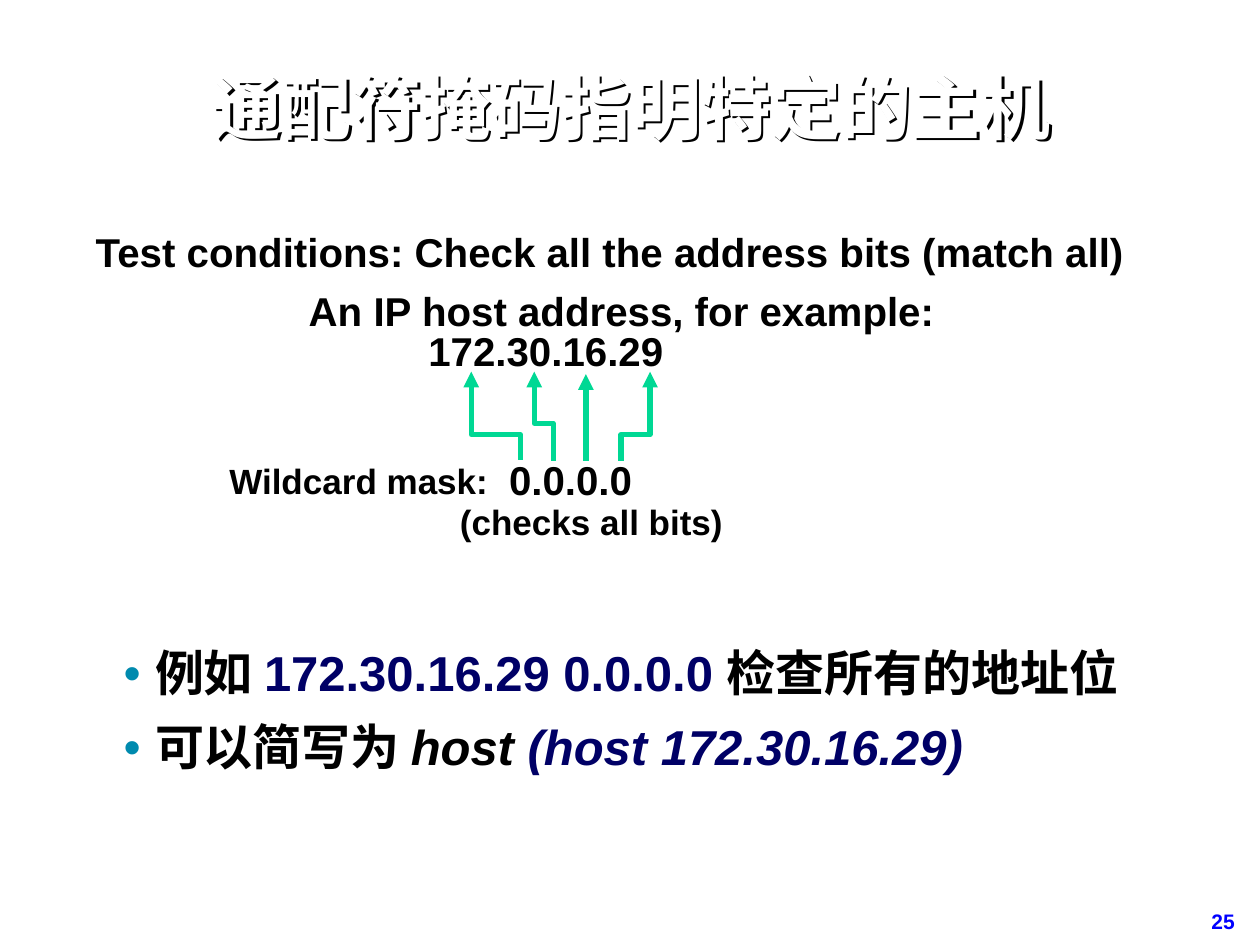
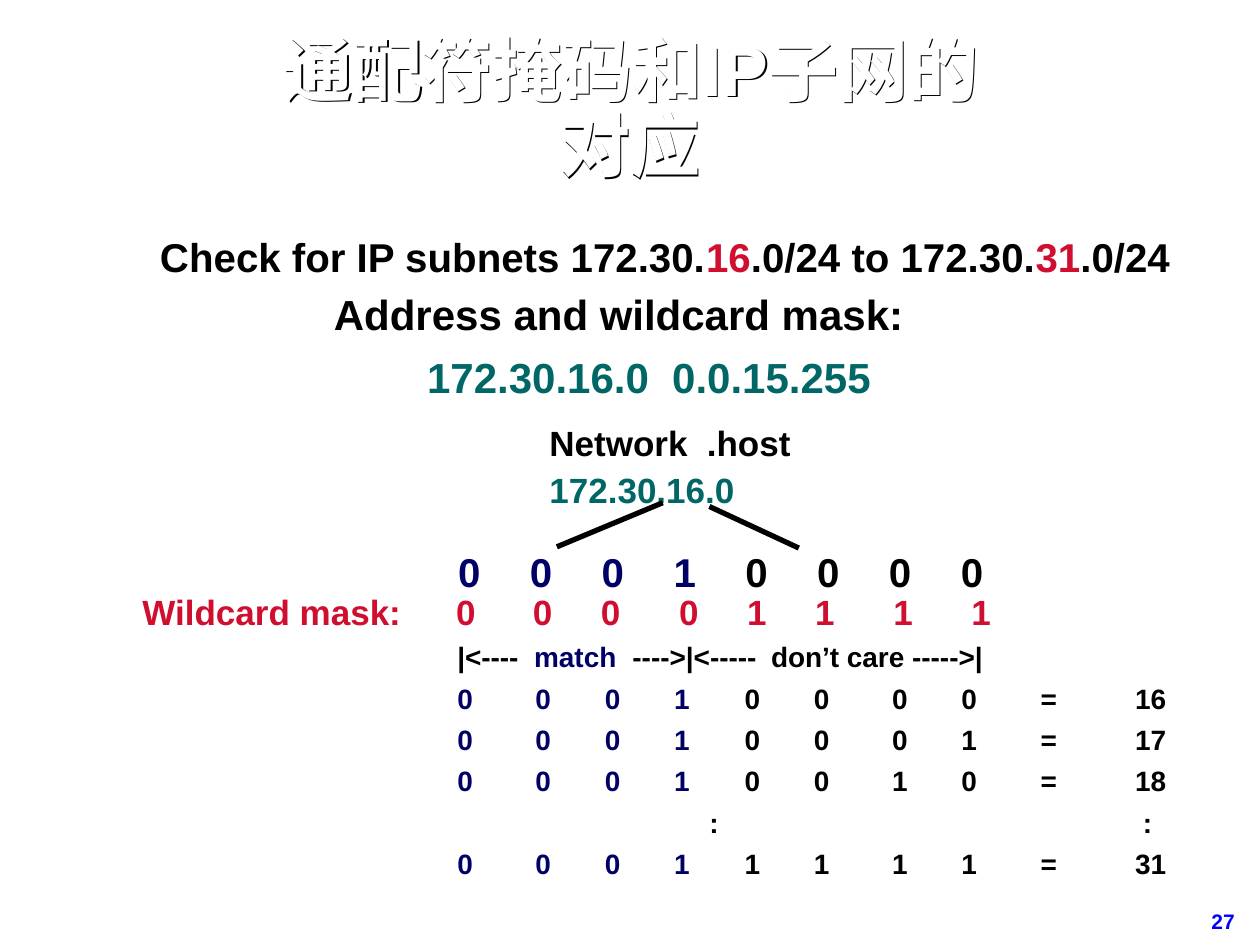
from lxml.etree import SubElement as Sub
from pptx import Presentation
from pptx.dml.color import RGBColor
from pptx.enum.shapes import MSO_CONNECTOR as Link
from pptx.enum.text import MSO_ANCHOR as Anchor, MSO_AUTO_SIZE as Auto, PP_ALIGN as Align
from pptx.oxml.ns import qn
from pptx.util import Inches, Pt

FONT = "Arial"
BLACK, WHITE, NAVY = "000000", "FFFFFF", "000066"
TEAL, RED, GREEN = "006666", "CF0E30", "00D894"
BLUE, DOT = "0000FF", "008AAE"


def paint(color, tint):
    color.rgb = RGBColor.from_string(tint)


def write(frame, runs, size=23, color=BLACK, align=Align.LEFT, space=Pt(27),
          gap=0, level=0, left=None, hang=0, mark=None, tabs=()):
    para = frame.paragraphs[0] if not frame.text else frame.add_paragraph()
    props = para._p.get_or_add_pPr()
    if left is not None:
        props.set("marL", str(Inches(left)))
        props.set("indent", str(Inches(hang)))
        if mark:
            tint = Sub(props, qn("a:buClr"))
            Sub(tint, qn("a:srgbClr"), val=DOT)
            Sub(props, qn("a:buChar"), char=mark)
        else:
            Sub(props, qn("a:buNone"))
    if tabs:
        stops = Sub(props, qn("a:tabLst"))
        for spot in tabs:
            Sub(stops, qn("a:tab"), pos=str(Inches(spot)), algn="l")
    para.level = level
    para.alignment = align
    para.line_spacing = space
    para.space_before = Pt(gap)
    for item in [runs] if isinstance(runs, str) else runs:
        words, tint, slant = (item, color, False) if isinstance(item, str) else item
        for row, part in enumerate(words.split("\n")):
            if row:
                para.add_line_break()
            run = para.add_run()
            run.text = part
            font = run.font
            font.name, font.size, font.bold, font.italic = FONT, Pt(size), True, slant
            paint(font.color, tint)


class Deck:
    def __init__(self):
        self.show = Presentation()
        self.show.slide_width, self.show.slide_height = Inches(10), Inches(7.5)

    def page(self, title, number, left, width, depth):
        self.slide = self.show.slides.add_slide(self.show.slide_layouts[1])
        head = self.slide.shapes.title
        frame = self.place(head, left, 0.26, width, 1.25)
        write(frame, title, size=40, color=WHITE, align=Align.CENTER, space=0.9)
        self.shade(head, depth)
        frame = self.box(8.9, 7.17, 0.99, 0.29, pad=(0.09, 0.04))
        write(frame, number, size=12, color=BLUE, align=Align.RIGHT, space=1.0)

    def shade(self, shape, depth):
        shape.fill.background()
        glow = Sub(shape._element.spPr, qn("a:effectLst"))
        cast = Sub(glow, qn("a:outerShdw"), blurRad="0", dist=str(Pt(depth)),
                   dir="2700000", algn="tl", rotWithShape="0")
        Sub(cast, qn("a:srgbClr"), val=BLACK)

    def frame(self, shape, pad):
        frame = shape.text_frame
        frame.auto_size, frame.word_wrap = Auto.NONE, True
        frame.margin_left = frame.margin_right = Inches(pad[0])
        frame.margin_top = frame.margin_bottom = Inches(pad[1])
        return frame

    def place(self, shape, left, top, width, height):
        shape.left, shape.top = Inches(left), Inches(top)
        shape.width, shape.height = Inches(width), Inches(height)
        frame = self.frame(shape, (0.09, 0.04))
        frame.vertical_anchor = Anchor.MIDDLE
        return frame

    def body(self, left, top):
        return self.place(self.slide.placeholders[1], left, top, 8.99, 2.2)

    def box(self, left, top, width, height, pad=(0.04, 0.06)):
        spot = map(Inches, (left, top, width, height))
        return self.frame(self.slide.shapes.add_textbox(*spot), pad)

    def note(self, text, left, top, width, height, **style):
        frame = self.box(left, top, width, height)
        frame.word_wrap = False
        write(frame, text, **style)

    def style(self, shape, color, tip):
        paint(shape.line.color, color)
        shape.line.width = Pt(3)
        props = shape._element.spPr
        if tip:
            Sub(props.find(qn("a:ln")), qn("a:headEnd"), type="triangle")
        Sub(props, qn("a:effectLst"))

    def line(self, start, end, color=BLACK, tip=False):
        ends = map(Inches, start + end)
        shape = self.slide.shapes.add_connector(Link.STRAIGHT, *ends)
        self.style(shape, color, tip)

    def bend(self, tip, foot, top, turn, base):
        spots = [(tip, top), (tip, turn), (foot, turn), (foot, base)]
        spots = [(Inches(x), Inches(y)) for x, y in spots]
        path = self.slide.shapes.build_freeform(*spots[0])
        path.add_line_segments(spots[1:], close=False)
        shape = path.convert_to_shape()
        shape.fill.background()
        self.style(shape, GREEN, True)


def host(deck):
    deck.page("通配符掩码指明特定的主机", "25", 0.84, 8.34, 2)
    body = deck.body(0.5, 4.55)
    items = [
        ["例如 ", ("172.30.16.29 0.0.0.0 ", NAVY, False), "检查所有的地址位"],
        ["可以简写为 ", ("host ", BLACK, True), ("(host 172.30.16.29)", NAVY, True)],
    ]
    for row, runs in enumerate(items):
        write(body, runs, size=28, space=0.95, gap=10.5 * row, level=1,
              left=0.64, hang=-0.25, mark="•")
    deck.note("Test conditions: Check all the address bits (match all)", 0.72, 1.75, 8.56, 0.56)
    deck.note("An IP host address, for example:", 2.41, 2.22, 5.66, 0.56)
    deck.note("172.30.16.29", 3.36, 2.54, 2.16, 0.35)
    deck.note("0.0.0.0", 4, 3.56, 1.52, 0.56)
    deck.note("(checks all bits)", 3.61, 3.87, 2.45, 0.36, size=20)
    deck.note("Wildcard mask:", 1.78, 3.59, 2.63, 0.52, size=20, space=Pt(23.6))
    for tip, foot, turn, base in [(3.74, 4.13, 3.45, 3.65), (4.24, 4.39, 3.36, 3.66),
                                  (5.16, 4.93, 3.45, 3.66)]:
        deck.bend(tip, foot, 2.95, turn, base)
    deck.line((4.65, 2.97), (4.65, 3.66), GREEN, True)


def subnet(deck):
    deck.page("通配符掩码和IP子网的\n对应", "27", 1.6, 6.81, 1)
    body = deck.body(0.65, 1.66)
    write(body, "Address and wildcard mask:", size=24, space=0.95, level=1, left=1.91)
    write(body, "172.30.16.0  0.0.15.255", size=24, color=TEAL, space=0.95, gap=9,
          level=1, left=2.65)
    deck.note(["Check for IP subnets 172.30.", ("16", RED, False), ".0/24 to 172.30.",
               ("31", RED, False), ".0/24"], 1.23, 1.79, 8.13, 0.6)
    pair = deck.box(4.34, 3.27, 2.25, 0.86, pad=(0.02, 0.03))
    write(pair, "Network\t.host", size=20, tabs=[1.25])
    write(pair, "172.30.16.0", size=20, color=TEAL)

    for spot, bit in enumerate("00010000"):
        cell = deck.box(3.44 + 0.57 * spot, 4.3, 0.57, 0.59, pad=(0.05, 0.08))
        write(cell, bit, color=NAVY if spot < 4 else BLACK, align=Align.CENTER, space=Pt(24.8))

    grid = deck.box(1.11, 4.66, 8.6, 2.46, pad=(0.02, 0.03))
    space = Pt(23.6)
    write(grid, "\t".join(["Wildcard mask:", *"00001111"]), size=20, color=RED, space=space,
          tabs=[2.49, 3.1, 3.64, 4.26, 4.8, 5.34, 5.96, 6.58])
    write(grid, ["\t|<----\t", ("match", NAVY, False), "\t---->|<-----\tdon’t care ----->|"],
          size=16, space=space, tabs=[2.5, 3.11, 3.89, 4.99])
    stops = [2.5, 3.12, 3.67, 4.22, 4.78, 5.33, 5.95, 6.5, 7.13, 7.88]
    for value in (16, 17, 18, None, 31):
        if value is None:
            write(grid, "\t:\t:", size=16, space=space, tabs=[4.5, 7.94])
            continue
        bits = f"{value:08b}"
        write(grid, [("\t" + "\t".join(bits[:4]), NAVY, False),
                     "\t" + "\t".join([*bits[4:], "=", str(value)])],
              size=16, space=space, tabs=stops)
    deck.line((5.26, 3.99), (4.42, 4.34))
    deck.line((5.63, 4.02), (6.34, 4.35))


def main():
    deck = Deck()
    host(deck)
    subnet(deck)
    deck.show.save("out.pptx")


if __name__ == "__main__":
    main()
